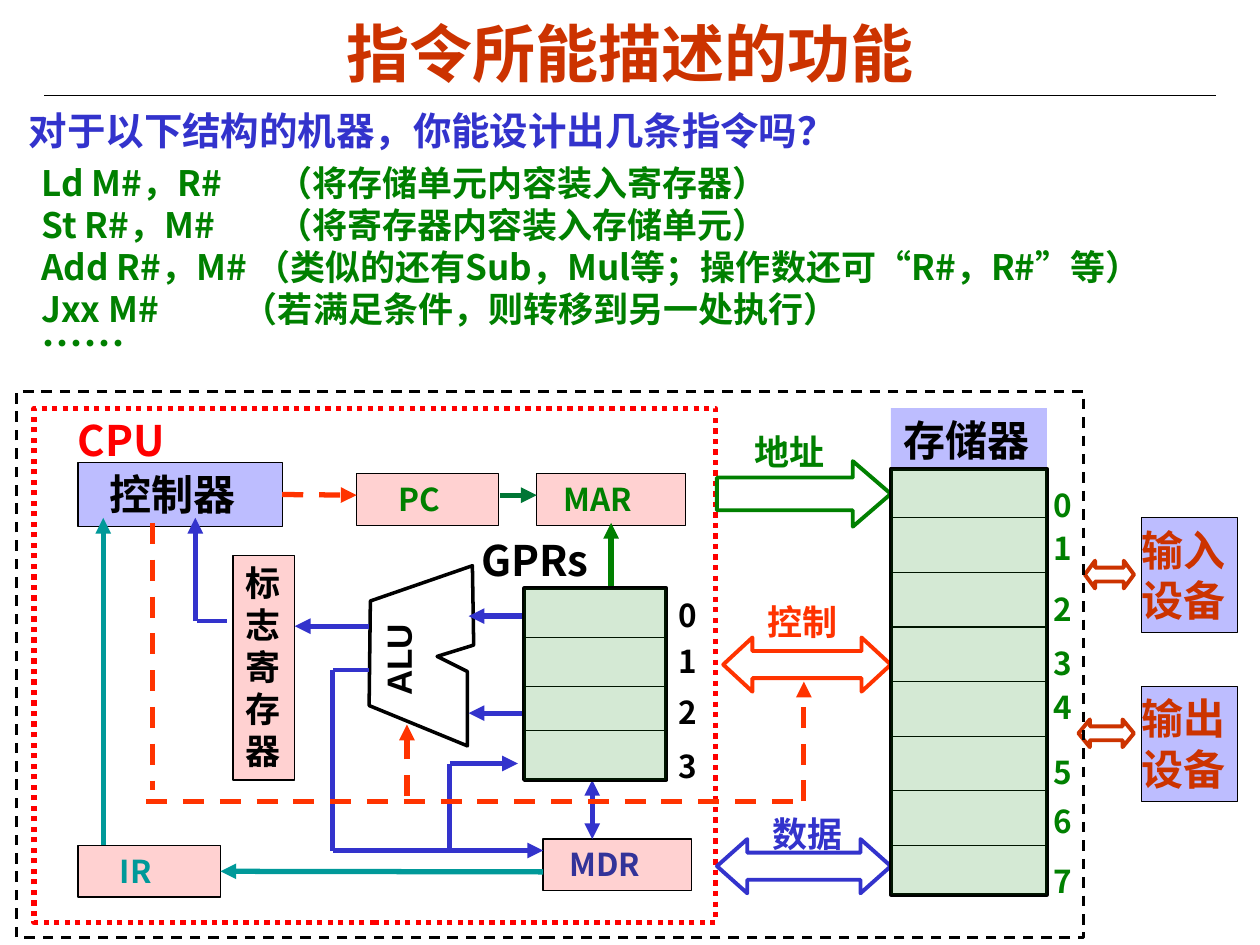
from dataclasses import dataclass

from pptx import Presentation
from pptx.dml.color import RGBColor
from pptx.enum.dml import MSO_LINE
from pptx.enum.shapes import MSO_CONNECTOR, MSO_SHAPE
from pptx.enum.text import MSO_ANCHOR, PP_ALIGN
from pptx.oxml.ns import qn
from pptx.util import Inches, Pt

STRAIGHT = MSO_CONNECTOR.STRAIGHT
RECTANGLE = MSO_SHAPE.RECTANGLE
RIGHT_ARROW = MSO_SHAPE.RIGHT_ARROW
DOUBLE_ARROW = MSO_SHAPE.LEFT_RIGHT_ARROW
DASH = MSO_LINE.DASH
DOT = MSO_LINE.ROUND_DOT
TOP, MIDDLE = MSO_ANCHOR.TOP, MSO_ANCHOR.MIDDLE
LEFT, CENTER = PP_ALIGN.LEFT, PP_ALIGN.CENTER
RIGHT_SIDE = 3  # connection site of a rectangle


@dataclass(frozen=True)
class Theme:
    title_font: str = "Arial"
    body_font: str = "Noto Sans CJK SC"
    black: str = "000000"
    white: str = "FFFFFF"
    rust: str = "CC3300"
    blue: str = "3333CC"
    navy: str = "333399"
    green: str = "008000"
    deep_green: str = "007635"
    teal: str = "009999"
    orange: str = "FF3300"
    red: str = "FF0000"
    unit_fill: tuple = ("0000FF", 26)
    register_fill: tuple = ("FF0000", 18)
    cell_fill: tuple = ("008000", 17)
    title_size: int = 36
    question_size: int = 22
    large: int = 24
    medium: int = 20
    small: int = 18
    thin: float = 0.75
    outline: float = 2.25
    signal: float = 3


class SlideBuilder:
    def __init__(self, slide, theme):
        self.slide = slide
        self.theme = theme

    def style_paragraph(self, paragraph, size, color, font=None):
        paragraph.font.size = Pt(size)
        paragraph.font.bold = True
        paragraph.font.name = font or self.theme.body_font
        paragraph.font.color.rgb = RGBColor.from_string(color)
        properties = paragraph._p.get_or_add_pPr().find(qn("a:defRPr"))
        east_asian = properties.makeelement(qn("a:ea"), {"typeface": self.theme.body_font})
        properties.find(qn("a:latin")).addnext(east_asian)

    def set_lines(self, shape, lines, size, color, inset=0.1, right=0.1, font=None):
        frame = shape.text_frame
        frame.word_wrap = True
        frame.vertical_anchor = TOP
        frame.margin_left, frame.margin_right = Inches(inset), Inches(right)
        frame.margin_top = frame.margin_bottom = Inches(0.05)
        for index, line in enumerate(lines):
            paragraph = frame.add_paragraph() if index else frame.paragraphs[0]
            paragraph.text = line
            paragraph.alignment = LEFT
            self.style_paragraph(paragraph, size, color, font)

    def title(self, text, box):
        shape = self.slide.shapes.title
        shape.left, shape.top, shape.width, shape.height = map(Inches, box)
        shape.text_frame.text = text
        shape.text_frame.vertical_anchor = MIDDLE
        paragraph = shape.text_frame.paragraphs[0]
        paragraph.alignment = CENTER
        self.style_paragraph(paragraph, self.theme.title_size, self.theme.rust,
                             self.theme.title_font)

    def text(self, lines, box, size, color, **options):
        shape = self.slide.shapes.add_textbox(*map(Inches, box))
        self.set_lines(shape, lines, size, color, **options)
        return shape

    def instructions(self, rows, box):
        frame = self.slide.shapes.add_textbox(*map(Inches, box)).text_frame
        frame.word_wrap = True
        for index, (text, tab) in enumerate(rows):
            paragraph = frame.add_paragraph() if index else frame.paragraphs[0]
            paragraph.text = text
            properties = paragraph._p.get_or_add_pPr()
            if tab:
                tabs = properties.makeelement(qn("a:tabLst"), {})
                tabs.append(tabs.makeelement(qn("a:tab"), {"pos": str(Inches(tab)), "algn": "l"}))
                properties.append(tabs)
            else:
                properties.set("marL", str(Inches(0.38)))
                properties.set("indent", str(Inches(-0.38)))
            self.style_paragraph(paragraph, self.theme.medium, self.theme.green)
        paragraph.font.size = Pt(self.theme.large)
        paragraph.line_spacing = 0.75

    def paint(self, shape, fill=None, line=None, width=0.75, dash=None):
        shape.shadow.inherit = False
        if fill:
            color, opacity = fill
            shape.fill.solid()
            shape.fill.fore_color.rgb = RGBColor.from_string(color)
            if opacity < 100:
                node = shape._element.spPr.find(qn("a:solidFill"))[0]
                node.append(node.makeelement(qn("a:alpha"), {"val": str(opacity * 1000)}))
        else:
            shape.fill.background()
        if line:
            shape.line.color.rgb = RGBColor.from_string(line)
            shape.line.width = Pt(width)
            if dash:
                shape.line.dash_style = dash
        else:
            shape.line.fill.background()

    def box(self, box, lines=(), size=18, color="000000", inset=0.1, right=0.1, **paint):
        shape = self.slide.shapes.add_shape(RECTANGLE, *map(Inches, box))
        self.paint(shape, **paint)
        if lines:
            self.set_lines(shape, lines, size, color, inset, right)
        return shape

    def block_arrow(self, kind, box, head, color):
        shape = self.slide.shapes.add_shape(kind, *map(Inches, box))
        shape.adjustments[0], shape.adjustments[1] = 0.5, head
        self.paint(shape, (self.theme.white, 100), color, self.theme.outline)

    def outline(self, points, width):
        start, *others = [(Inches(x), Inches(y)) for x, y in points]
        builder = self.slide.shapes.build_freeform(*start)
        builder.add_line_segments(others, close=True)
        self.paint(builder.convert_to_shape(), line=self.theme.black, width=width)

    def line(self, x1, y1, x2, y2, color, width=3, dash=None, ends=()):
        connector = self.slide.shapes.add_connector(STRAIGHT, *map(Inches, (x1, y1, x2, y2)))
        connector.line.color.rgb = RGBColor.from_string(color)
        connector.line.width = Pt(width)
        if dash:
            connector.line.dash_style = dash
        properties = connector._element.spPr
        line = properties.find(qn("a:ln"))
        for end in ends:
            line.append(line.makeelement(qn("a:" + end), {"type": "triangle"}))
        properties.append(properties.makeelement(qn("a:effectLst"), {}))
        return connector

    def storage(self, box, dividers, numbers, number_left, number_color):
        """White block with dividing lines, cell numbers and a green tint."""
        left, _, width, _ = box
        theme = self.theme
        self.box(box, fill=(theme.white, 100), line=theme.black, width=theme.outline)
        for y in dividers:
            self.line(left, y, left + width, y, theme.black, theme.thin)
        for number, top in enumerate(numbers):
            self.text([str(number)], (number_left, top, 0.35, 0.4), theme.small, number_color)
        self.box(box, fill=theme.cell_fill)


def main():
    presentation = Presentation()
    presentation.slide_width, presentation.slide_height = Inches(10), Inches(7.5)
    theme = Theme()
    page = SlideBuilder(presentation.slides.add_slide(presentation.slide_layouts[5]), theme)
    unit = {"fill": theme.unit_fill, "line": theme.black}
    register = {"fill": theme.register_fill, "line": theme.black}
    arrow, both = ("tailEnd",), ("headEnd", "tailEnd")

    # Heading, question and instruction list
    page.line(0.35, 0.76, 9.65, 0.76, theme.black, theme.thin)
    page.title("指令所能描述的功能", (0.5, 0.11, 9, 0.61))
    page.text(["对于以下结构的机器，你能设计出几条指令吗？"], (0.13, 0.8, 9.73, 0.47),
              theme.question_size, theme.blue)
    page.instructions([
        ("Ld M#，R#\t（将存储单元内容装入寄存器）", 1.87),
        ("St R#，M#\t（将寄存器内容装入存储单元）", 1.87),
        ("Add R#，M# （类似的还有Sub，Mul等；操作数还可“R#，R#”等）", None),
        ("Jxx M#\t（若满足条件，则转移到另一处执行）", 1.6),
        ("……", None)], (0.23, 1.23, 9.35, 1.73))

    # CPU frame and its units
    page.box((0.27, 3.24, 5.41, 4.08), line=theme.red, width=theme.signal, dash=DOT)
    page.text(["CPU"], (0.52, 3.24, 0.93, 0.5), theme.large, theme.red)
    controller = page.box((0.62, 3.67, 1.62, 0.51), ["控制器"], theme.large, inset=0.25, **unit)
    page.box((1.85, 4.41, 0.49, 1.78), list("标志寄存器"), theme.medium, **register)
    registers = {}
    for name, left, top, width, inset, color in [
            ("PC", 2.83, 3.76, 1.13, 0.33, theme.green),
            ("MAR", 4.26, 3.76, 1.18, 0.21, theme.green),
            ("MDR", 4.31, 6.66, 1.18, 0.21, theme.navy),
            ("IR", 0.62, 6.71, 1.13, 0.33, theme.teal)]:
        registers[name] = page.box((left, top, width, 0.41), [name], theme.small, color,
                                   inset, **register)

    # Arithmetic unit
    page.outline([(2.94, 4.77), (3.75, 4.49), (3.76, 5.12), (3.47, 5.21),
                  (3.71, 5.33), (3.71, 5.92), (2.93, 5.6)], 2)
    alu = page.text(["ALU"], (2.79, 5.03, 0.78, 0.4), theme.medium, theme.black,
                    font=theme.title_font)
    alu.rotation = 270
    alu.text_frame.paragraphs[0].line_spacing = 0.9

    # Input and output devices
    for name, top, arrow_box, head in [
            ("输入", 4.11, (8.61, 4.45, 0.39, 0.22), 0.37),
            ("输出", 5.45, (8.56, 5.71, 0.44, 0.22), 0.41)]:
        page.box((9.06, top, 0.76, 0.91), [name, "设备"], theme.large, theme.rust, 0, 0, **unit)
        page.block_arrow(DOUBLE_ARROW, arrow_box, head, theme.rust)

    # Data paths
    for points, ends in [
            ((4.7, 6.19, 4.7, 6.66), both), ((4.16, 4.89, 3.72, 4.89), arrow),
            ((4.16, 5.66, 3.72, 5.66), arrow), ((2.93, 4.97, 2.34, 4.97), arrow),
            ((1.55, 4.93, 1.55, 4.11), arrow), ((2.64, 5.32, 2.64, 6.75), ()),
            ((2.64, 6.75, 4.31, 6.75), arrow), ((3.57, 6.75, 3.57, 6.06), ()),
            ((3.57, 6.06, 4.11, 6.06), arrow)]:
        page.line(*points, theme.blue, ends=ends)
    for points in [(1.8, 4.93, 1.56, 4.93), (2.93, 5.32, 2.64, 5.32)]:
        page.line(*points, theme.blue, theme.outline)
    page.line(3.97, 3.93, 4.26, 3.93, theme.deep_green, ends=arrow)
    page.line(4.85, 4.67, 4.85, 4.15, theme.green, ends=arrow)
    page.line(0.82, 6.71, 0.82, 4.11, theme.teal, ends=arrow)
    fetch = page.line(4.31, 6.92, 1.75, 6.92, theme.teal, ends=arrow)
    fetch.end_connect(registers["IR"], RIGHT_SIDE)

    # Control paths
    step = page.line(2.24, 3.93, 2.83, 3.93, theme.orange, dash=DASH, ends=arrow)
    step.begin_connect(controller, RIGHT_SIDE)
    for points, ends in [((1.16, 6.36, 6.33, 6.36), ()), ((1.21, 4.15, 1.21, 6.27), ()),
                         ((3.23, 6.32, 3.23, 5.75), arrow)]:
        page.line(*points, theme.orange, dash=DASH, ends=ends)

    # Buses between CPU and memory
    for name, left, top, kind, box, head, color in [
            ("地址", 5.89, 3.37, RIGHT_ARROW, (5.69, 3.66, 1.38, 0.52), 0.58, theme.green),
            ("控制", 5.99, 4.72, DOUBLE_ARROW, (5.74, 5.06, 1.33, 0.43), 0.54, theme.orange),
            ("数据", 6.03, 6.4, DOUBLE_ARROW, (5.69, 6.66, 1.38, 0.43), 0.56, theme.blue)]:
        page.block_arrow(kind, box, head, color)
        page.text([name], (left, top, 0.94, 0.43), theme.medium, color)
    page.line(6.38, 6.36, 6.38, 5.41, theme.orange, dash=DASH, ends=arrow)

    # General registers and memory
    page.text(["GPRs"], (3.72, 4.19, 1.28, 0.5), theme.large, theme.black)
    page.storage((4.16, 4.67, 1.13, 1.52), (5.06, 5.45, 5.8),
                 (4.68, 5.05, 5.45, 5.88), 5.29, theme.black)
    page.box((7.07, 3.24, 1.24, 0.5), ["存储器"], theme.large, fill=theme.unit_fill)
    page.storage((7.07, 3.72, 1.24, 3.38), [4.11 + 2.6 / 6 * row for row in range(7)],
                 (3.81, 4.15, 4.63, 5.06, 5.41, 5.93, 6.32, 6.79), 8.26, theme.green)

    # Host frame
    page.box((0.13, 3.11, 8.47, 4.33), line=theme.black, width=1.5, dash=DASH)
    presentation.save("out.pptx")


if __name__ == "__main__":
    main()
